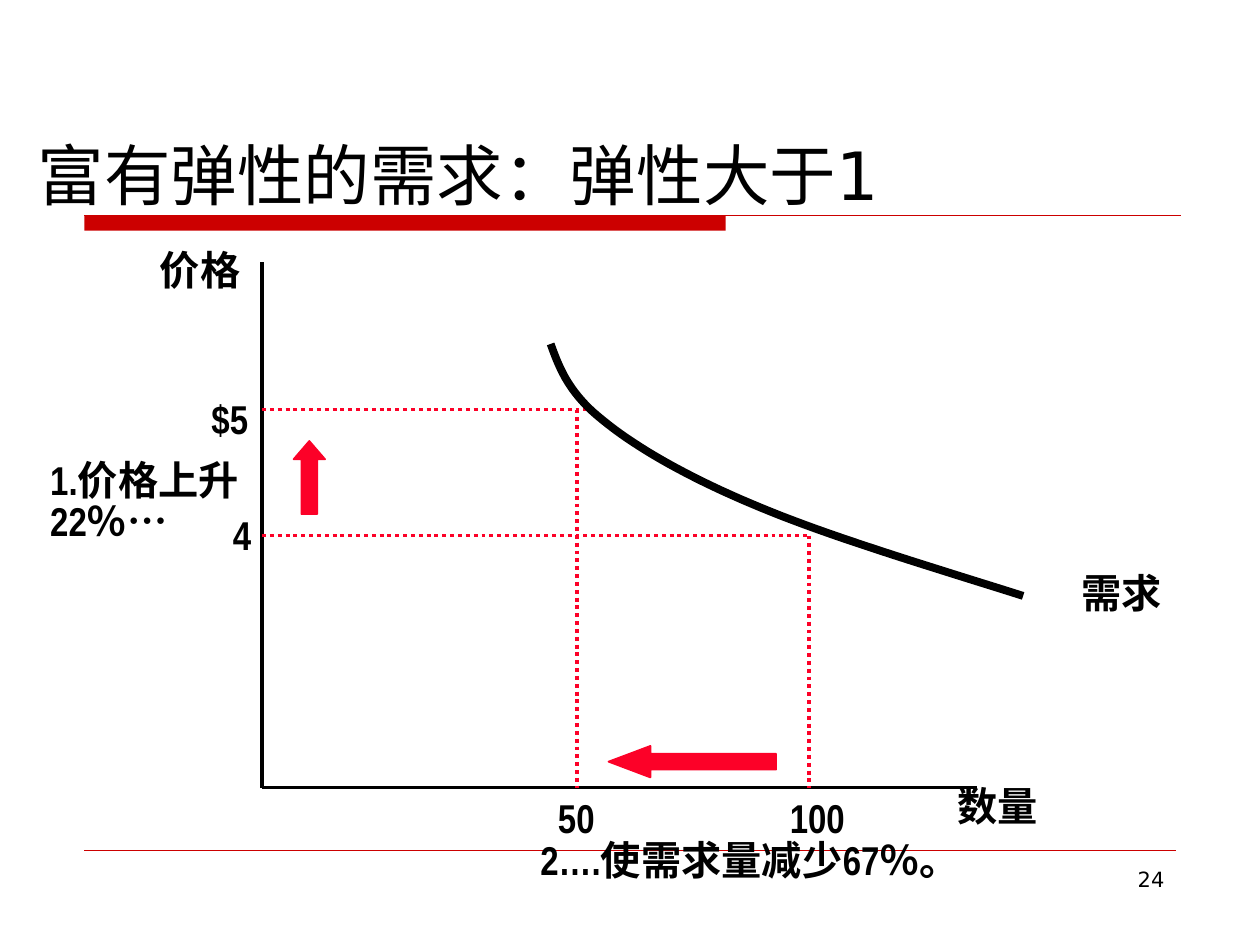
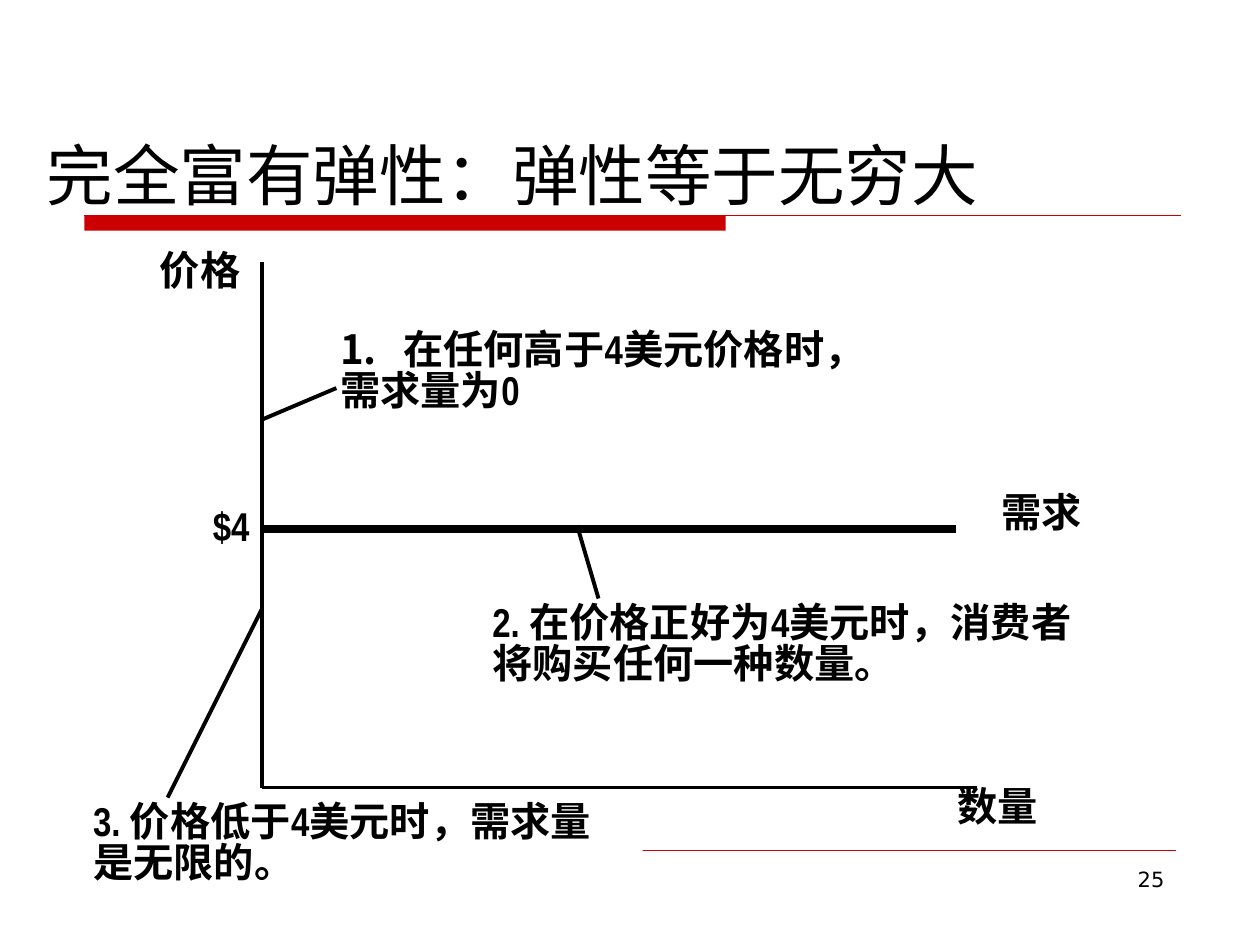
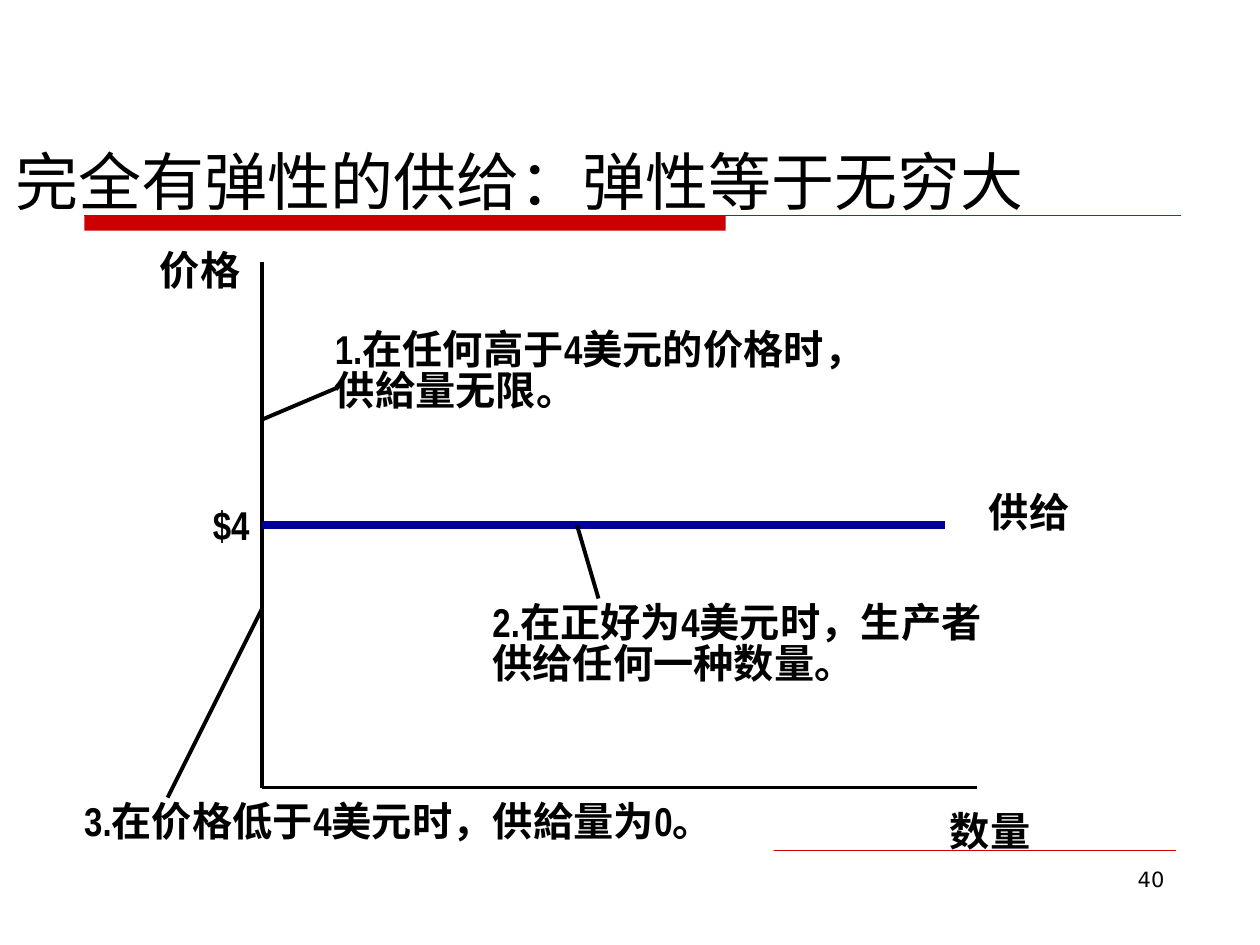
from lxml import etree
from pptx import Presentation
from pptx import util as u
from pptx.dml.color import RGBColor
from pptx.enum import dml, shapes, text
from pptx.oxml import ns

BLACK, WHITE, RED, BRIGHT, BLUE = "000000", "FFFFFF", "CC0000", "FC0128", "000099"
TITLE_FONT, LABEL_FONT = "DejaVu Sans", "Arial Narrow"
LEFT, RIGHT, CENTER = text.PP_ALIGN.LEFT, text.PP_ALIGN.RIGHT, text.PP_ALIGN.CENTER
X0, X1, Y0, Y1 = 2.08, 7.75, 2.08, 6.25
HIGH, LOW, FEW, MANY = 3.25, 4.25, 4.58, 6.42
LABEL_H, LINE_H = 0.49, 0.32
LEADERS = [((X0, 3.33), (2.67, 3.08)), ((FEW, 4.17), (4.75, 4.75)), ((1.33, 6.33), (X0, 4.83))]
CURVE = [(4.37, 2.73), (4.44, 2.92), (4.51, 3.12), (4.79, 3.34), (5.06, 3.56),
         (5.48, 3.8), (6.04, 4.03), (6.59, 4.26), (7.36, 4.49), (8.12, 4.73)]

SLIDES = [
    dict(number="24", title="富有弹性的需求：弹性大于1", box=(0.2, 0.76, 9.3, 0.99), size=38, spacing=1.4,
         labels=[("数量", 7.5, 6.15, 0.84, LEFT), ("4", 1.75, 4, 0.34, LEFT),
                 ("$5", 1.58, 3.08, 0.49, LEFT), ("需求", 8.48, 4.46, 0.84, CENTER),
                 ("100", 6.17, Y1, 0.64, LEFT), ("50", 4.33, Y1, 0.66, LEFT),
                 ("2….使需求量减少67％。", 3.96, 6.58, 3.76, RIGHT)],
         notes=[(["1.价格上升", "22％…"], 0.3, 3.62, 1.85)],
         guides=[((X0, LOW), (MANY, LOW)), ((X0, HIGH), (4.67, HIGH)),
                 ((MANY, LOW), (MANY, Y1)), ((FEW, HIGH), (FEW, Y1))],
         arrows=[(shapes.MSO_SHAPE.UP_ARROW, 2.33, 3.5, 0.25, 0.58, 0.58),
                 (shapes.MSO_SHAPE.LEFT_ARROW, 4.83, 5.92, 1.33, 0.25, 1.33)],
         curve=CURVE),
    dict(number="25", title="完全富有弹性：弹性等于无穷大", box=(0.27, 0.52, 9.39, 1.23), size=38, spacing=1,
         labels=[("数量", 7.5, 6.15, 0.84, LEFT), ("需求", 7.85, 3.82, 0.84, LEFT),
                 ("$4", 1.59, 3.93, 0.49, LEFT)],
         level=((2.09, 4.2), (7.59, 4.2), BLACK), numbered=True,
         callouts=[(["在任何高于4美元价格时，", "需求量为0"], 2.6, 2.58, 4.52),
                   (["2. 在价格正好为4美元时，消费者", "将购买任何一种数量。"], 3.81, 4.75, 5.1),
                   (["3. 价格低于4美元时，需求量", "是无限的。"], 0.64, 6.33, 4.46)]),
    dict(number="40", title="完全有弹性的供给：弹性等于无穷大", box=(0.02, 0.76, 10, 1.02), size=36, spacing=1.4,
         labels=[("数量", 7.44, 6.35, 0.84, LEFT), ("供给", 7.75, 3.82, 0.84, LEFT),
                 ("$4", 1.59, 3.92, 0.49, LEFT)],
         level=((X0, 4.17), (7.5, 4.17), BLUE),
         callouts=[(["1.在任何高于4美元的价格时，", "供給量无限。"], 2.56, 2.58, 4.63),
                   (["2.在正好为4美元时，生产者", "供给任何一种数量。"], 3.81, 4.75, 4.39),
                   (["3.在价格低于4美元时，供給量为0。"], 0.57, 6.33, 5.57)]),
]


def rgb(value):
    return RGBColor.from_string(value)


def inches(*values):
    return [u.Inches(v) for v in values]


def write(tf, lines, size, font, bold=False, align=LEFT, spacing=None):
    for i, line in enumerate(lines):
        p = tf.paragraphs[0] if i == 0 else tf.add_paragraph()
        p.alignment = align
        if spacing:
            p.line_spacing = spacing
        r = p.add_run()
        r.text = line
        r.font.size, r.font.name, r.font.bold = u.Pt(size), font, bold
        r.font.color.rgb = rgb(BLACK)


def label(s, lines, x, y, w, align=LEFT, spacing=None, filled=False):
    h = len(lines) * LINE_H + 0.11 if spacing else LABEL_H
    if filled:
        sp = block(s, shapes.MSO_SHAPE.RECTANGLE, (x, y, w, h), WHITE)
    else:
        sp = s.shapes.add_textbox(*inches(x, y, w, h))
    tf = sp.text_frame
    tf.word_wrap = False
    tf.auto_size = text.MSO_AUTO_SIZE.SHAPE_TO_FIT_TEXT
    tf.vertical_anchor = text.MSO_ANCHOR.TOP
    write(tf, lines, 23, LABEL_FONT, True, align, spacing)
    return tf


def block(s, kind, box, color):
    sp = s.shapes.add_shape(kind, *inches(*box))
    sp.shadow.inherit = False
    sp.fill.solid()
    sp.fill.fore_color.rgb = rgb(color)
    sp.line.fill.background()
    return sp


def line(s, start, end, color=BLACK, width=2.25, dotted=False):
    c = s.shapes.add_connector(shapes.MSO_CONNECTOR.STRAIGHT, *inches(*start, *end))
    c.line.color.rgb = rgb(color)
    c.line.width = u.Pt(width)
    if dotted:
        c.line.dash_style = dml.MSO_LINE.ROUND_DOT
    etree.SubElement(c._element.spPr, ns.qn("a:effectLst"))


def curve(s, points, steps=20):
    route = [points[0]]
    for i in range(0, len(points) - 1, 3):
        a, b, c, d = points[i:i + 4]
        for t in (n / steps for n in range(1, steps + 1)):
            weights = ((1 - t) ** 3, 3 * t * (1 - t) ** 2, 3 * t * t * (1 - t), t ** 3)
            route.append(tuple(sum(k * q[axis] for k, q in zip(weights, (a, b, c, d)))
                               for axis in (0, 1)))
    route = [inches(*point) for point in route]
    builder = s.shapes.build_freeform(*route[0])
    builder.add_line_segments(route[1:], close=False)
    sp = builder.convert_to_shape()
    sp.shadow.inherit = False
    sp.fill.background()
    sp.line.color.rgb = rgb(BLACK)
    sp.line.width = u.Pt(4.5)


def number_first(tf):
    for p in tf.paragraphs:
        pPr = p._p.get_or_add_pPr()
        pPr.set("marL", str(u.Inches(0.5)))
        pPr.set("indent", str(-u.Inches(0.5)))
    etree.SubElement(tf.paragraphs[0]._p.pPr, ns.qn("a:buAutoNum"), type="arabicPeriod")


def frame(s, data):
    block(s, shapes.MSO_SHAPE.RECTANGLE, (0.67, 1.71, 5.09, 0.12), RED)
    line(s, (0.67, 1.71), (9.37, 1.71), RED, 1)
    line(s, (0.67, 6.75), (9.33, 6.75), RED, 0.25)
    title = s.shapes.title
    title.left, title.top, title.width, title.height = inches(*data["box"])
    tf = title.text_frame
    tf.word_wrap = True
    tf.auto_size = text.MSO_AUTO_SIZE.NONE
    tf.vertical_anchor = text.MSO_ANCHOR.BOTTOM
    write(tf, [data["title"]], data["size"], TITLE_FONT, spacing=data["spacing"])
    number = s.shapes.add_textbox(*inches(7.17, 6.83, 2.17, 0.52)).text_frame
    number.word_wrap = True
    write(number, [data["number"]], 12, TITLE_FONT, align=RIGHT)


def diagram(s, data):
    line(s, (X0, Y0), (X0, Y1))
    line(s, (X0, Y1), (X1, Y1))
    label(s, ["价格"], 1.17, 1.9, 0.84)
    for name, x, y, w, align in data["labels"]:
        label(s, [name], x, y, w, align)
    for lines, x, y, w in data.get("notes", []):
        label(s, lines, x, y, w, spacing=0.85)
    for start, end in data.get("guides", []):
        line(s, start, end, BRIGHT, dotted=True)
    for kind, x, y, w, h, head in data.get("arrows", []):
        sp = block(s, kind, (x, y, w, h), BRIGHT)
        sp.adjustments[0], sp.adjustments[1] = 0.5, head
        sp.line.color.rgb = rgb(BRIGHT)
        sp.line.width = u.Pt(1)
    if "curve" in data:
        curve(s, data["curve"])
    if "level" in data:
        line(s, *data["level"], width=4.5)
    for i, (lines, x, y, w) in enumerate(data.get("callouts", [])):
        tf = label(s, lines, x, y, w, spacing=0.85, filled=True)
        if i == 0 and data.get("numbered"):
            number_first(tf)
        line(s, *LEADERS[i])


def main():
    prs = Presentation()
    prs.slide_width, prs.slide_height = inches(10, 7.5)
    for data in SLIDES:
        s = prs.slides.add_slide(prs.slide_layouts[5])
        frame(s, data)
        diagram(s, data)
    prs.save("out.pptx")


if __name__ == "__main__":
    main()
